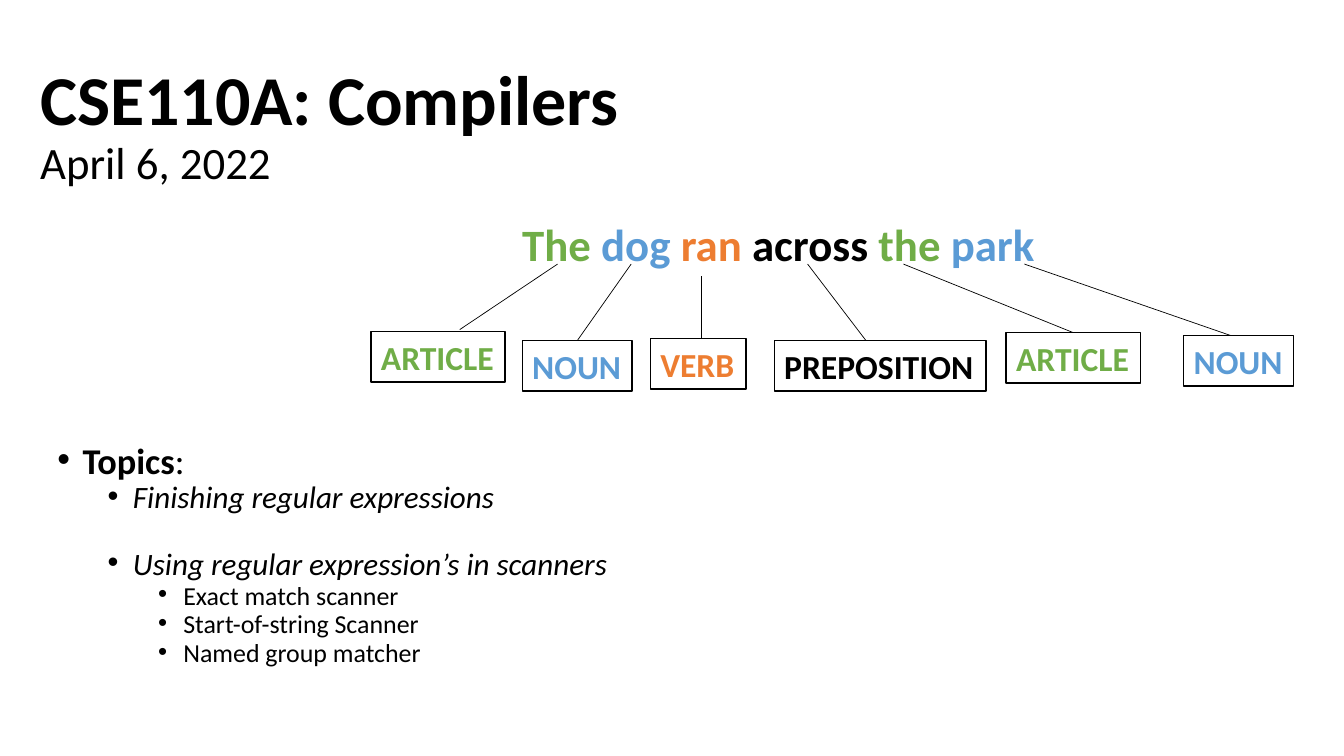
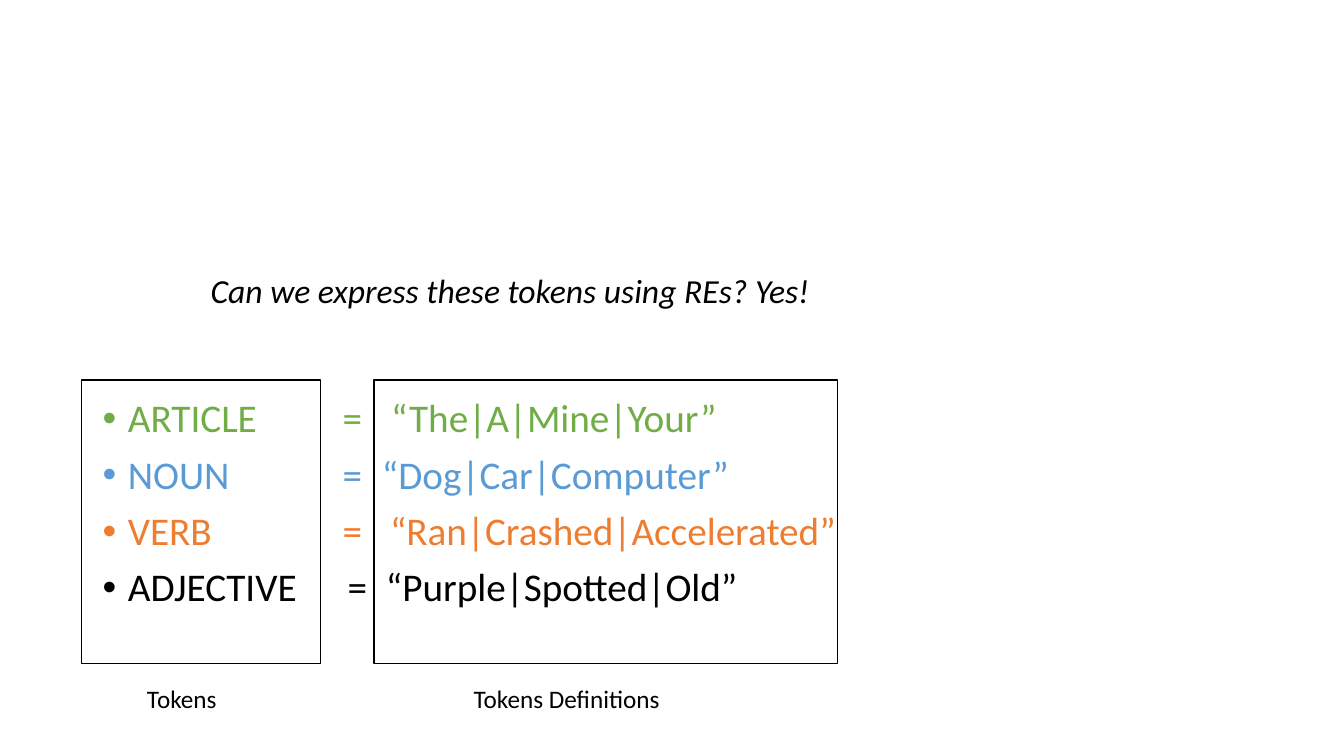
"""Build two slides on describing tokens with regular expressions."""
from dataclasses import dataclass
from typing import Optional

from lxml import etree
from pptx import Presentation
from pptx.dml.color import RGBColor
from pptx.enum.shapes import MSO_CONNECTOR, MSO_SHAPE
from pptx.enum.text import MSO_ANCHOR, MSO_AUTO_SIZE
from pptx.oxml.ns import qn
from pptx.util import Pt

PX = 9144
FONT = "Calibri"
BLACK = RGBColor(0x00, 0x00, 0x00)
WHITE = RGBColor(0xFF, 0xFF, 0xFF)
GREEN = RGBColor(0x70, 0xAD, 0x47)
BLUE = RGBColor(0x5B, 0x9B, 0xD5)
ORANGE = RGBColor(0xED, 0x7D, 0x31)
RECTANGLE = MSO_SHAPE.RECTANGLE
STRAIGHT = MSO_CONNECTOR.STRAIGHT
TOP, MIDDLE = MSO_ANCHOR.TOP, MSO_ANCHOR.MIDDLE
FIT_SHAPE, NO_FIT = MSO_AUTO_SIZE.SHAPE_TO_FIT_TEXT, MSO_AUTO_SIZE.NONE
TOP_SIDE = 0


@dataclass(frozen=True)
class Box:
    left: int
    top: int
    width: int
    height: int

    def emu(self) -> tuple:
        return tuple(value * PX for value in (self.left, self.top, self.width, self.height))


@dataclass(frozen=True)
class Style:
    size: float
    color: RGBColor = BLACK
    bold: bool = False
    italic: bool = False


@dataclass(frozen=True)
class Tag:
    text: str
    color: RGBColor
    box: Box
    start: tuple
    end: Optional[tuple] = None


@dataclass(frozen=True)
class Topic:
    text: str
    level: int
    before: int = 5


@dataclass(frozen=True)
class Token:
    name: str
    definition: str
    color: RGBColor
    tabs: tuple


@dataclass(frozen=True)
class Label:
    text: str
    box: Box
    style: Style


TITLE_BOX = Box(30, 41, 1150, 170)
TOPICS_BOX = Box(47, 442, 755, 263)
SENTENCE_BOX = Box(508, 210, 532, 64)
TOKENS_BOX = Box(92, 391, 1129, 256)

SENTENCE = (("The ", GREEN), ("dog ", BLUE), ("ran", ORANGE),
            (" across ", BLACK), ("the ", GREEN), ("park", BLUE))
TAGS = (
    Tag("ARTICLE", GREEN, Box(368, 329, 133, 50), (553, 262), (456, 327)),
    Tag("NOUN", BLUE, Box(518, 338, 109, 50), (626, 262)),
    Tag("VERB", ORANGE, Box(645, 336, 95, 50), (696, 274), (696, 336)),
    Tag("PREPOSITION", BLACK, Box(768, 338, 210, 50), (801, 262), (859, 338)),
    Tag("ARTICLE", GREEN, Box(998, 330, 133, 50), (896, 262)),
    Tag("NOUN", BLUE, Box(1174, 333, 109, 50), (1016, 262), (1221, 333)),
)
TOPIC_STYLES = (Style(25.9), Style(22.2, italic=True), Style(18.5))
TOPICS = (
    Topic("Topics", 0, 10),
    Topic("Finishing regular expressions", 1),
    Topic("Using regular expression’s in scanners", 1, 29),
    Topic("Exact match scanner", 2),
    Topic("Start-of-string Scanner", 2),
    Topic("Named group matcher", 2),
)
TOKENS = (
    Token("ARTICLE", "“The|A|Mine|Your”", GREEN, (238, 286)),
    Token("NOUN", "“Dog|Car|Computer”", BLUE, (238, 277)),
    Token("VERB", "“Ran|Crashed|Accelerated”", ORANGE, (238, 285)),
    Token("ADJECTIVE", "“Purple|Spotted|Old”", BLACK, (243, 281)),
)
FRAMES = (Box(81, 377, 237, 281), Box(371, 377, 460, 281))
LABELS = (
    Label("Tokens", Box(136, 673, 90, 40), Style(18)),
    Label("Tokens Definitions", Box(460, 673, 207, 40), Style(18)),
    Label("Can we express these tokens using REs? Yes!",
          Box(199, 263, 620, 50), Style(24, italic=True)),
)


def style_paragraph(paragraph, style: Style) -> None:
    """Give the paragraph one font."""
    font = paragraph.font
    font.name, font.size = FONT, Pt(style.size)
    font.bold, font.italic = style.bold, style.italic
    font.color.rgb = style.color


def add_run(paragraph, text: str):
    """Append a run of text and return it."""
    run = paragraph.add_run()
    run.text = text
    return run


def set_bullet(paragraph, level: int, tabs: tuple = ()) -> None:
    """Add a hanging bullet and optional tab stops."""
    paragraph.level = level
    properties = paragraph._p.get_or_add_pPr()
    properties.set("marL", str((25 + 50 * level) * PX))
    properties.set("indent", str(-25 * PX))
    etree.SubElement(properties, qn("a:buFont"), typeface="Arial")
    etree.SubElement(properties, qn("a:buChar"), char="•")
    if tabs:
        tab_list = etree.SubElement(properties, qn("a:tabLst"))
        for position in tabs:
            etree.SubElement(tab_list, qn("a:tab"), pos=str(position * PX), algn="l")


def add_text(slide, box: Box, wrap: bool, anchor=TOP):
    """Add a text box and return its text frame."""
    frame = slide.shapes.add_textbox(*box.emu()).text_frame
    frame.word_wrap = wrap
    frame.auto_size = NO_FIT if wrap else FIT_SHAPE
    frame.vertical_anchor = anchor
    return frame


def add_bullets(slide, box: Box, count: int) -> tuple:
    """Add a text box with the given number of paragraphs."""
    frame = add_text(slide, box, True)
    for _ in range(count - 1):
        frame.add_paragraph()
    return frame.paragraphs


def add_rectangle(slide, box: Box, fill: Optional[RGBColor] = None):
    """Add a black-edged rectangle."""
    shape = slide.shapes.add_shape(RECTANGLE, *box.emu())
    shape.shadow.inherit = False
    if fill is None:
        shape.fill.background()
    else:
        shape.fill.solid()
        shape.fill.fore_color.rgb = fill
    shape.line.color.rgb = BLACK
    shape.line.width = Pt(1)
    return shape


def add_tag(slide, tag: Tag) -> None:
    """Add a part-of-speech box and the line from its word."""
    shape = add_rectangle(slide, tag.box, WHITE)
    frame = shape.text_frame
    frame.word_wrap = False
    frame.auto_size = FIT_SHAPE
    frame.vertical_anchor = TOP
    paragraph = frame.paragraphs[0]
    paragraph.alignment = 1
    style_paragraph(paragraph, Style(24, tag.color, bold=True))
    add_run(paragraph, tag.text)

    end = tag.end or (tag.box.left + tag.box.width // 2, tag.box.top)
    points = [value * PX for value in (*tag.start, *end)]
    connector = slide.shapes.add_connector(STRAIGHT, *points)
    if tag.end is None:
        connector.end_connect(shape, TOP_SIDE)
    connector.line.color.rgb = BLACK
    connector.line.width = Pt(0.5)
    etree.SubElement(connector._element.spPr, qn("a:effectLst"))


def build_opening(slide) -> None:
    """Draw the title, the labelled sentence and the topics."""
    title = add_text(slide, TITLE_BOX, True, MIDDLE).paragraphs[0]
    title.line_spacing = 0.9
    style_paragraph(title, Style(50))
    add_run(title, "CSE110A: Compilers").font.bold = True
    title.add_line_break()
    add_run(title, "April 6, 2022").font.size = Pt(32)

    sentence = add_text(slide, SENTENCE_BOX, False).paragraphs[0]
    style_paragraph(sentence, Style(32, bold=True))
    for words, color in SENTENCE:
        add_run(sentence, words).font.color.rgb = color
    for tag in TAGS:
        add_tag(slide, tag)

    paragraphs = add_bullets(slide, TOPICS_BOX, len(TOPICS))
    for paragraph, topic in zip(paragraphs, TOPICS):
        set_bullet(paragraph, topic.level)
        paragraph.line_spacing = 0.7
        paragraph.space_before = Pt(topic.before)
        style_paragraph(paragraph, TOPIC_STYLES[topic.level])
        run = add_run(paragraph, topic.text)
        if topic.level == 0:
            run.font.bold = True
            add_run(paragraph, ":")


def build_tokens(slide) -> None:
    """Draw the tokens beside their definitions."""
    paragraphs = add_bullets(slide, TOKENS_BOX, len(TOKENS))
    for paragraph, token in zip(paragraphs, TOKENS):
        set_bullet(paragraph, 0, token.tabs)
        paragraph.line_spacing = 0.9
        paragraph.space_before = Pt(10)
        style_paragraph(paragraph, Style(28, token.color))
        add_run(paragraph, f"{token.name}\t=\t{token.definition}")
    for box in FRAMES:
        add_rectangle(slide, box)
    for label in LABELS:
        paragraph = add_text(slide, label.box, False).paragraphs[0]
        style_paragraph(paragraph, label.style)
        add_run(paragraph, label.text)


def main() -> None:
    """Build and save the presentation."""
    presentation = Presentation()
    presentation.slide_width = 1333 * PX
    presentation.slide_height = 750 * PX
    blank = presentation.slide_layouts[6]
    for build in (build_opening, build_tokens):
        build(presentation.slides.add_slide(blank))
    presentation.save("out.pptx")


if __name__ == "__main__":
    main()
